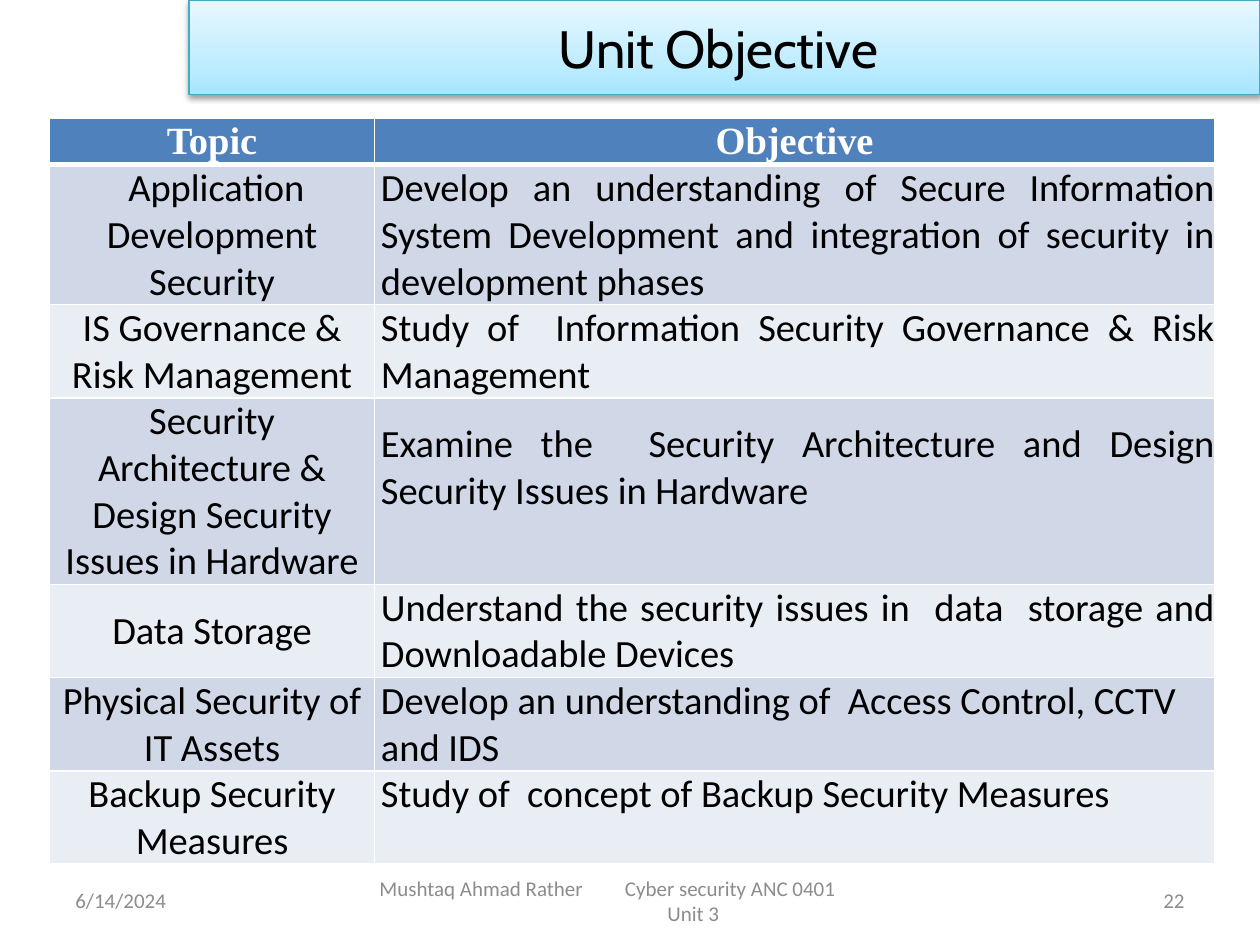
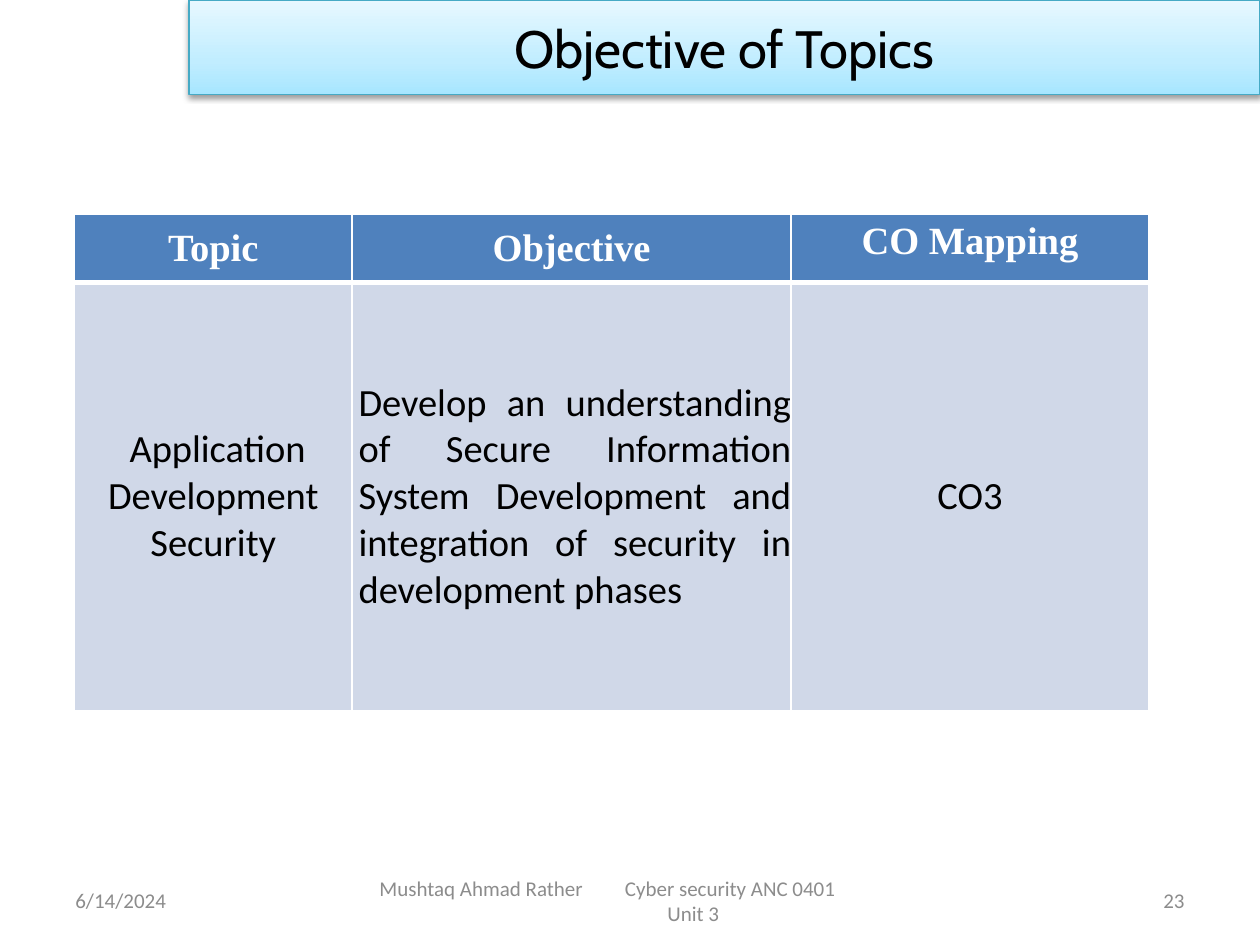
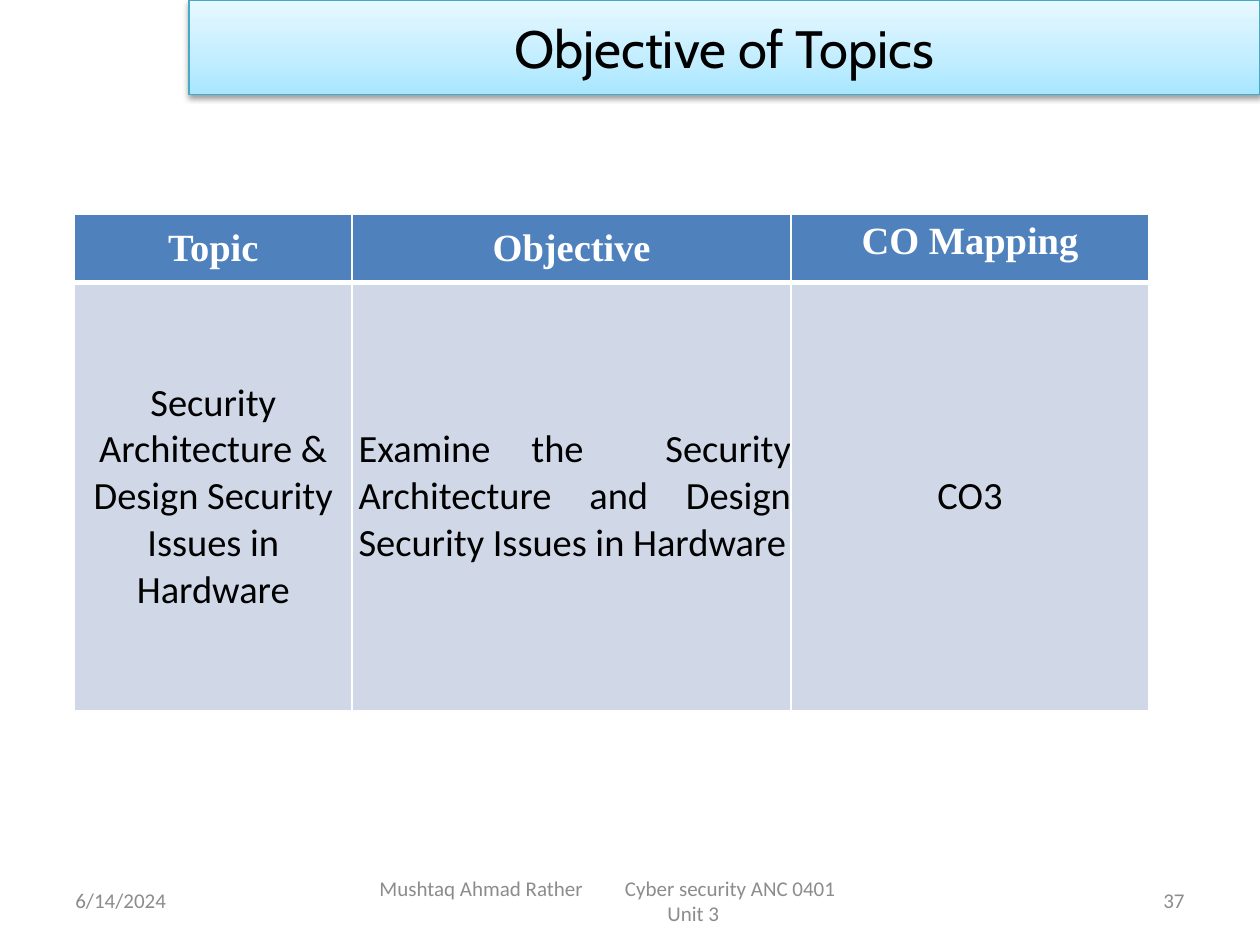
from lxml import etree
from pptx import Presentation
from pptx.dml.color import RGBColor
from pptx.enum.text import MSO_ANCHOR, PP_ALIGN
from pptx.oxml.ns import qn
from pptx.util import Cm, Pt

LEFT, CENTER, RIGHT, JUSTIFY = PP_ALIGN.LEFT, PP_ALIGN.CENTER, PP_ALIGN.RIGHT, PP_ALIGN.JUSTIFY
TOP, MIDDLE = MSO_ANCHOR.TOP, MSO_ANCHOR.MIDDLE
TITLE_ONLY = 5

COLORS = {
    "ink": "000000", "white": "FFFFFF", "footer": "8C8C8C",
    "header": "4F81BD", "odd row": "D0D8E8", "even row": "E9EDF4",
    "band edge": "46AAC5", "band low": "A7E6FF", "band mid": "C1EDFF", "band high": "E7F8FF",
}
BAND_STOPS = [(0, "band low"), (35, "band mid"), (100, "band high")]
LINE = 0.94  # height in cm of one line of table text

SECURE_DEVELOPMENT = (
    " Application Development Security",
    "Develop an understanding of Secure Information System Development "
    "and integration of security in development phases",
)
ARCHITECTURE = (
    "Security Architecture & Design Security Issues in Hardware",
    "Examine the  Security Architecture and Design Security Issues in Hardware",
)
UNIT_OBJECTIVES = [
    ("Topic", "Objective"),
    SECURE_DEVELOPMENT,
    ("IS Governance & Risk Management",
     "Study of  Information Security Governance & Risk Management"),
    ARCHITECTURE,
    ("Data Storage",
     "Understand the security issues in  data  storage and Downloadable Devices"),
    ("Physical Security of IT Assets",
     "Develop an understanding of  Access Control, CCTV and IDS"),
    ("Backup Security Measures", "Study of  concept of Backup Security Measures"),
]
UNIT_LINES = [3, 2, 4, 2, 2, 2]
TOPIC_SLIDES = [("23", SECURE_DEVELOPMENT), ("37", ARCHITECTURE)]


def rgb(name):
    return RGBColor.from_string(COLORS[name])


def add_color(parent, name):
    return etree.SubElement(parent, qn("a:srgbClr"), val=COLORS[name])


class Deck:
    def __init__(self):
        self.prs = Presentation()
        self.prs.slide_width, self.prs.slide_height = Cm(25.4), Cm(19.05)
        self.slide = None

    def start_slide(self, title, number):
        self.slide = self.prs.slides.add_slide(self.prs.slide_layouts[TITLE_ONLY])
        self.title_band(title)
        self.footer_text("6/14/2024", 1.27, 5.92, LEFT)
        self.footer_text(number, 18.21, 5.92, RIGHT)
        self.course_footer()

    def set_text(self, paragraph, text, size, color, align, font="Calibri", bold=False):
        paragraph.text = text
        paragraph.alignment = align
        style = paragraph.font
        style.name, style.size, style.bold = font, Pt(size), bold
        style.color.rgb = rgb(color)

    def title_band(self, text):
        band = self.slide.shapes.title
        band.left, band.top, band.width, band.height = Cm(3.81), Cm(0), Cm(21.59), Cm(1.9)
        band.fill.gradient()
        band.fill.gradient_angle = 90
        properties = band._element.spPr
        stops = properties.find(".//" + qn("a:gsLst"))
        stops.clear()
        for percent, color in BAND_STOPS:
            add_color(etree.SubElement(stops, qn("a:gs"), pos=str(percent * 1000)), color)
        band.line.color.rgb = rgb("band edge")
        band.line.width = Pt(0.75)
        effects = etree.SubElement(properties, qn("a:effectLst"))
        shadow = etree.SubElement(effects, qn("a:outerShdw"), blurRad="40000", dist="20000",
                                  dir="5400000", rotWithShape="0")
        etree.SubElement(add_color(shadow, "ink"), qn("a:alpha"), val="38000")
        band.text_frame.vertical_anchor = MIDDLE
        self.set_text(band.text_frame.paragraphs[0], text, 30, "ink", CENTER, "Cabin")

    def footer_text(self, text, left, width, align):
        frame = self.slide.shapes.add_textbox(Cm(left), Cm(17.65), Cm(width), Cm(1.01)).text_frame
        frame.word_wrap = True
        frame.vertical_anchor = MIDDLE
        self.set_text(frame.paragraphs[0], text, 12, "footer", align)
        return frame

    def course_footer(self):
        """Author and course share a line through a tab stop; the unit is centred below."""
        frame = self.footer_text("Mushtaq Ahmad Rather\tCyber security ANC 0401", 6.99, 13.97, LEFT)
        frame.margin_left = frame.margin_right = Cm(0.66)
        tabs = etree.SubElement(frame.paragraphs[0]._p.get_or_add_pPr(), qn("a:tabLst"))
        # A tab list stands before the default run properties
        tabs.getparent().insert(0, tabs)
        etree.SubElement(tabs, qn("a:tab"), pos=str(Cm(4.95)), algn="l")
        self.set_text(frame.add_paragraph(), "Unit 3", 12, "footer", CENTER)

    def cell_borders(self, cell, top, bottom):
        properties = cell._tc.get_or_add_tcPr()
        for side, points in (("L", 1), ("R", 1), ("T", top), ("B", bottom)):
            line = etree.SubElement(properties, qn("a:ln" + side), w=str(Pt(points)))
            add_color(etree.SubElement(line, qn("a:solidFill")), "white")

    def table(self, left, top, widths, heights, rows):
        """Header row, then banded rows; the second column holds justified objectives."""
        grid = self.slide.shapes.add_table(
            len(rows), len(widths), Cm(left), Cm(top), Cm(sum(widths)), Cm(sum(heights))).table
        for column, width in zip(grid.columns, widths):
            column.width = Cm(width)
        for r, (row, height) in enumerate(zip(rows, heights)):
            grid.rows[r].height = Cm(height)
            for c, text in enumerate(row):
                cell = grid.cell(r, c)
                objective = r > 0 and c == 1
                cell.margin_left = Cm(0.13 if objective else 0)
                cell.margin_right = cell.margin_top = cell.margin_bottom = Cm(0)
                cell.vertical_anchor = MIDDLE
                self.cell_borders(cell, 3 if r == 1 else 1, 3 if r == 0 else 1)
                cell.fill.solid()
                band = "header" if r == 0 else "odd row" if r % 2 else "even row"
                cell.fill.fore_color.rgb = rgb(band)
                paragraph = cell.text_frame.paragraphs[0]
                if r == 0:
                    self.set_text(paragraph, text, 22, "white", CENTER, "Times New Roman", True)
                else:
                    self.set_text(paragraph, text, 22, "ink", JUSTIFY if objective else CENTER)
        return grid


def unit_objective(deck):
    deck.start_slide("Unit Objective ", "22")
    heights = [0.86] + [lines * LINE for lines in UNIT_LINES]
    objectives = deck.table(1, 2.39, [6.55, 16.94], heights, UNIT_OBJECTIVES)
    for row in (5, 6):
        objectives.cell(row, 1).text_frame.paragraphs[0].alignment = LEFT
    for row in (3, 6):
        objectives.cell(row, 1).margin_bottom = Cm(LINE)


def topic_objective(deck, number, topic):
    deck.start_slide("Objective of Topics", number)
    rows = [("Topic", "Objective", "CO Mapping"), (*topic, "CO3")]
    mapping = deck.table(1.5, 4.32, [5.6, 8.85, 7.21], [1.37, 8.64], rows).cell(0, 2)
    mapping.vertical_anchor = TOP
    mapping.margin_top = Cm(0.13)


def main():
    deck = Deck()
    unit_objective(deck)
    for number, topic in TOPIC_SLIDES:
        topic_objective(deck, number, topic)
    deck.prs.save("out.pptx")


if __name__ == "__main__":
    main()
